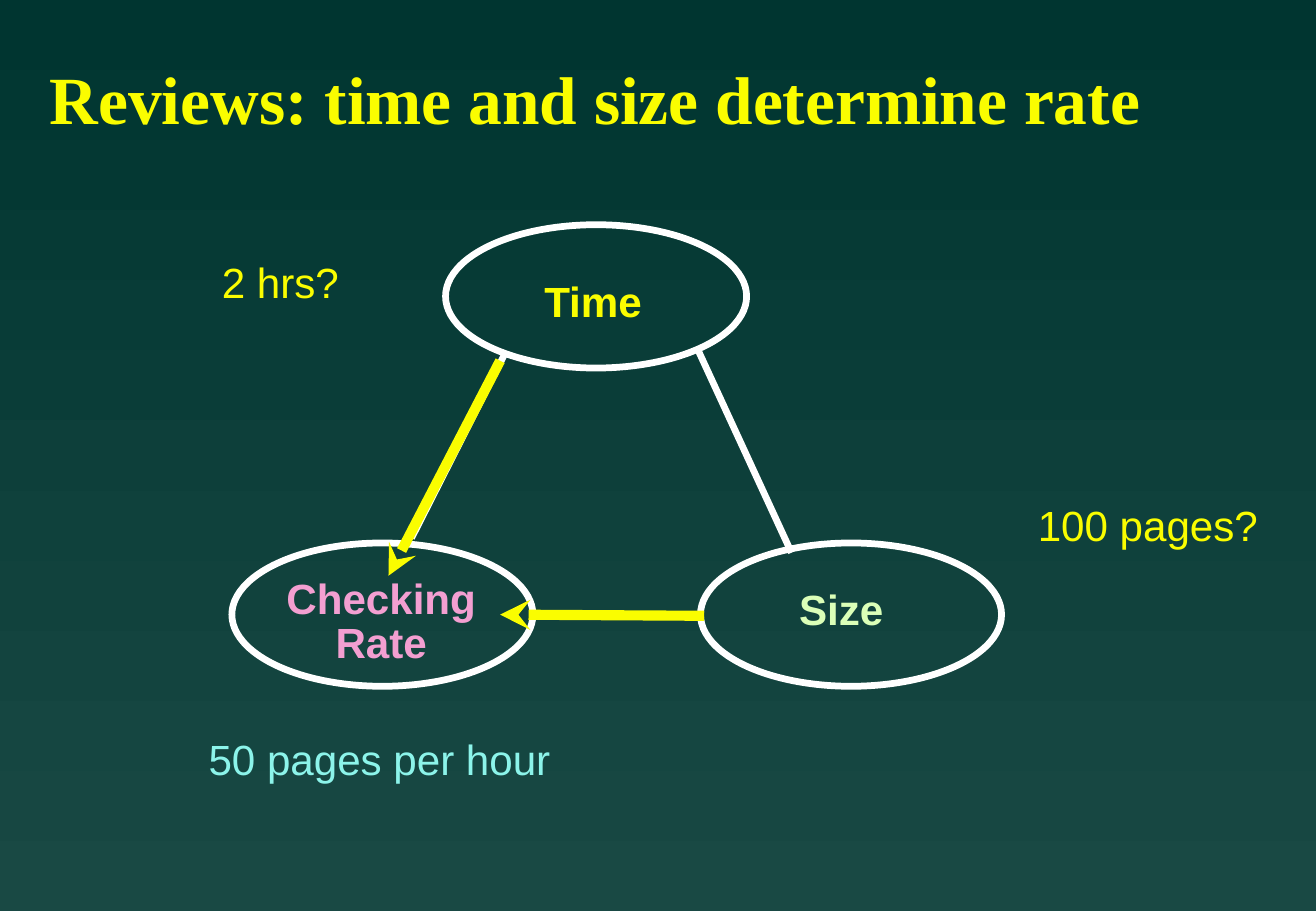
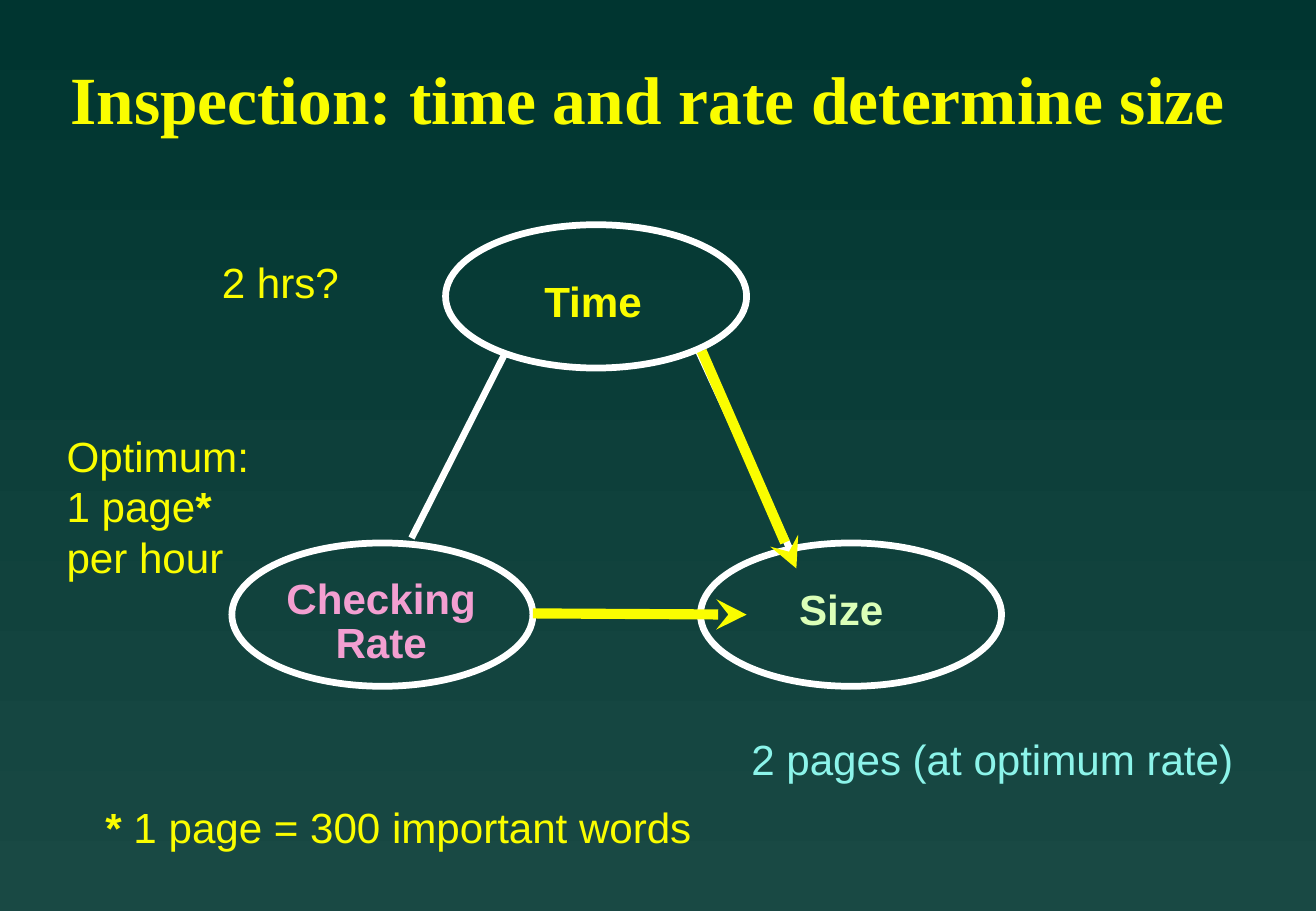
from dataclasses import dataclass

from lxml.etree import SubElement
from pptx import Presentation
from pptx.dml.color import RGBColor
from pptx.enum.shapes import MSO_CONNECTOR, MSO_SHAPE
from pptx.enum.text import MSO_AUTO_SIZE, PP_ALIGN
from pptx.oxml.ns import qn
from pptx.util import Inches, Pt


@dataclass(frozen=True)
class Theme:
    top: str = "003530"
    bottom: str = "194944"
    yellow: str = "FAFD00"
    white: str = "FFFFFF"
    green: str = "DBFFB8"
    pink: str = "F39FD1"
    aqua: str = "8CF4EA"
    title_font: str = "Times New Roman"
    body_font: str = "Arial"
    title_size: int = 40
    body_size: int = 25
    edge_width: int = 4
    arrow_width: int = 6


THEME = Theme()
FOOTNOTE_MARK = "*"
TITLE_TOP, TITLE_HEIGHT = 0.44, 0.72
OVAL_WIDTH, OVAL_HEIGHT = 2.48, 1.18

# Left and top of each oval; then its label's box, lines and colour
FACTORS = [
    ((3.67, 1.85), (4.41, 2.29, 0.95, 0.42), ["Time"], THEME.yellow),
    ((1.91, 4.47), (2.14, 4.74, 2.0, 0.78), ["Checking", "Rate"], THEME.pink),
    ((5.77, 4.47), (6.51, 4.83, 0.84, 0.42), ["Size"], THEME.green),
]
EDGES = [
    ((4.17, 2.89), (3.39, 4.43)),
    ((4.43, 5.06), (5.74, 5.06)),
    ((6.52, 4.55), (5.74, 2.86)),
]
TIME_NOTE = ((1.73, 2.06, 1.17, 0.52), ["2 hrs?"], THEME.yellow)

SLIDES = [
    {
        "title": "Reviews: time and size determine rate",
        "title_span": (0.34, 9.14),
        "arrows": [((4.12, 2.97), (3.2, 4.74)), ((5.8, 5.07), (4.12, 5.06))],
        "notes": [
            TIME_NOTE,
            ((8.45, 4.06, 2.02, 0.52), ["100 pages?"], THEME.yellow),
            ((1.62, 5.99, 3.02, 0.52), ["50 pages per hour"], THEME.aqua),
        ],
    },
    {
        "title": "Inspection: time and rate determine size",
        "title_span": (0.51, 9.67),
        "arrows": [((5.78, 2.89), (6.56, 4.68)), ((4.39, 5.05), (6.15, 5.06))],
        "notes": [
            TIME_NOTE,
            ((0.45, 3.49, 1.71, 1.35), ["Optimum:", "1 page*", "per hour"], THEME.yellow),
            ((6.09, 5.99, 4.18, 0.52), ["2 pages (at optimum rate)"], THEME.aqua),
            ((0.77, 6.55, 5.23, 0.52), ["* 1 page = 300 important words"], THEME.yellow),
        ],
    },
]


def add_text(slide, box, lines, color, *, size=THEME.body_size, font=THEME.body_font,
             bold=False, align=PP_ALIGN.LEFT, spacing=1.0, inset=(0.1, 0.05), wrap=False):
    """Add one paragraph per line; a footnote mark is always bold."""
    frame = slide.shapes.add_textbox(*map(Inches, box)).text_frame
    frame.word_wrap = wrap
    frame.auto_size = MSO_AUTO_SIZE.SHAPE_TO_FIT_TEXT
    frame.margin_left = frame.margin_right = Inches(inset[0])
    frame.margin_top = frame.margin_bottom = Inches(inset[1])
    for index, line in enumerate(lines):
        paragraph = frame.add_paragraph() if index else frame.paragraphs[0]
        paragraph.alignment = align
        paragraph.line_spacing = spacing
        for part in filter(None, line.partition(FOOTNOTE_MARK)):
            run = paragraph.add_run()
            run.text = part
            run.font.name = font
            run.font.size = Pt(size)
            run.font.bold = bold or part == FOOTNOTE_MARK
            run.font.color.rgb = RGBColor.from_string(color)


def style_line(line, color, width):
    line.color.rgb = RGBColor.from_string(color)
    line.width = Pt(width)


def add_oval(slide, corner):
    oval = slide.shapes.add_shape(
        MSO_SHAPE.OVAL, *map(Inches, (*corner, OVAL_WIDTH, OVAL_HEIGHT)))
    oval.shadow.inherit = False
    oval.fill.background()
    style_line(oval.line, THEME.white, THEME.edge_width)


def add_line(slide, start, end, color, width, arrow=False):
    connector = slide.shapes.add_connector(
        MSO_CONNECTOR.STRAIGHT, *map(Inches, (*start, *end)))
    style_line(connector.line, color, width)
    properties = connector._element.spPr
    if arrow:
        SubElement(properties.find(qn("a:ln")), qn("a:tailEnd"), type="stealth")
    SubElement(properties, qn("a:effectLst"))


def set_background(master):
    fill = master.background.fill
    fill.gradient()
    fill.gradient_angle = 270
    for stop, color in zip(fill.gradient_stops, (THEME.top, THEME.bottom)):
        stop.color.rgb = RGBColor.from_string(color)


def build_slide(slide, content):
    left, width = content["title_span"]
    add_text(slide, (left, TITLE_TOP, width, TITLE_HEIGHT), [content["title"]],
             THEME.yellow, size=THEME.title_size, font=THEME.title_font,
             bold=True, inset=(0.07, 0.03), wrap=True)
    for corner, *_ in FACTORS:
        add_oval(slide, corner)
    for start, end in EDGES:
        add_line(slide, start, end, THEME.white, THEME.edge_width)
    for start, end in content["arrows"]:
        add_line(slide, start, end, THEME.yellow, THEME.arrow_width, arrow=True)
    for _, box, lines, color in FACTORS:
        add_text(slide, box, lines, color, bold=True, align=PP_ALIGN.CENTER,
                 spacing=0.87, inset=(0.07, 0.03))
    for box, lines, color in content["notes"]:
        add_text(slide, box, lines, color)


def main():
    deck = Presentation()
    deck.slide_width, deck.slide_height = Inches(10.84), Inches(7.5)
    set_background(deck.slide_master)
    blank = deck.slide_layouts[6]
    for content in SLIDES:
        build_slide(deck.slides.add_slide(blank), content)
    deck.save("out.pptx")


if __name__ == "__main__":
    main()
